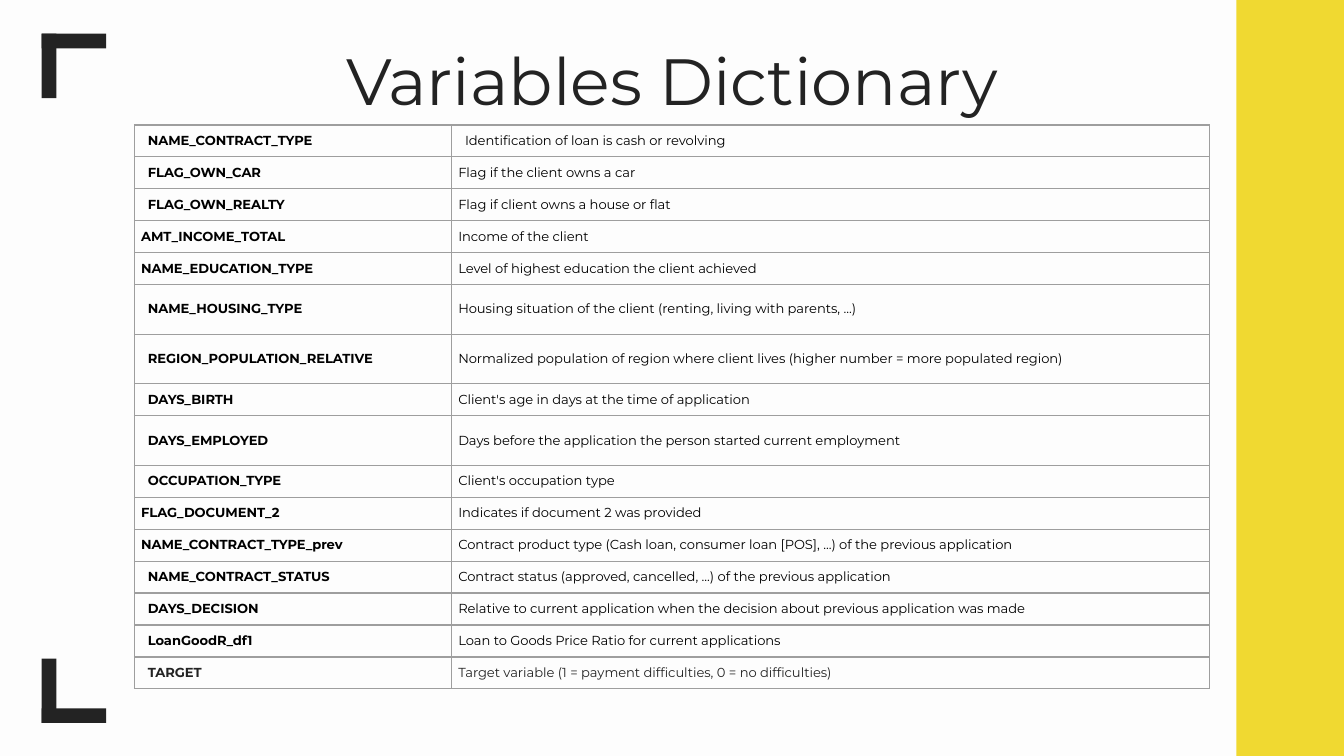
import pptx
import pptx.dml.color
import pptx.enum.shapes
import pptx.enum.text
import pptx.oxml
import pptx.oxml.ns
import pptx.util

Inches = pptx.util.Inches
PAGE_WIDTH = 10
PAGE_HEIGHT = PAGE_WIDTH * 9 / 16
INK = "232323"
BLACK = "000000"
GRID = "9E9E9E"
WIDE = (0.1, 0.05)
NARROW = (0.05, 0.04)
HARD_SPACE = chr(160)

# Name, description, margins of the name cell
VARIABLES = [
    ("NAME_CONTRACT_TYPE", "Identification of loan is cash or revolving", WIDE),
    ("FLAG_OWN_CAR", "Flag if the client owns a car", WIDE),
    ("FLAG_OWN_REALTY", "Flag if client owns a house or flat", WIDE),
    ("AMT_INCOME_TOTAL", "Income of the client", NARROW),
    ("NAME_EDUCATION_TYPE", "Level of highest education the client achieved", NARROW),
    ("NAME_HOUSING_TYPE", "Housing situation of the client (renting, living with parents, ...)", WIDE),
    ("REGION_POPULATION_RELATIVE",
     "Normalized population of region where client lives (higher number = more populated region)", WIDE),
    ("DAYS_BIRTH", "Client's age in days at the time of application", WIDE),
    ("DAYS_EMPLOYED", "Days before the application the person started current employment", WIDE),
    ("OCCUPATION_TYPE", "Client's occupation type", WIDE),
    ("FLAG_DOCUMENT_2", "Indicates if document 2 was provided", NARROW),
    ("NAME_CONTRACT_TYPE_prev",
     "Contract product type (Cash loan, consumer loan [POS], ...) of the previous application", NARROW),
    ("NAME_CONTRACT_STATUS", "Contract status (approved, cancelled, ...) of the previous application", WIDE),
    ("DAYS_DECISION",
     "Relative to current application when the decision about previous application was made", WIDE),
    ("LoanGoodR_df1", "Loan to Goods Price Ratio for current applications", WIDE),
    ("TARGET", "Target variable (1 = payment difficulties, 0 = no difficulties)", WIDE),
]
TALL_ROWS = {"NAME_HOUSING_TYPE", "REGION_POPULATION_RELATIVE", "DAYS_EMPLOYED"}
SOFT_SPACED_ROWS = {"LoanGoodR_df1"}


def color(value):
    return pptx.dml.color.RGBColor.from_string(value)


def write(frame, text, size=7, fill=BLACK, bold=False, align=None):
    para = frame.paragraphs[0]
    para.alignment = align
    span = para.add_run()
    span.text = text
    span.font.name = "Montserrat"
    span.font.size = pptx.util.Pt(size)
    span.font.bold = bold
    span.font.color.rgb = color(fill)


def add_bar(page, left, top, width, height, fill):
    bar = page.shapes.add_shape(
        pptx.enum.shapes.MSO_SHAPE.RECTANGLE,
        Inches(left), Inches(top), Inches(width), Inches(height))
    bar.shadow.inherit = False
    bar.fill.solid()
    bar.fill.fore_color.rgb = color(fill)
    bar.line.fill.background()


def add_corner(page, left, top, size, at_bottom):
    thick = 0.11
    add_bar(page, left, top, thick, size, INK)
    bar_top = top + size - thick if at_bottom else top
    add_bar(page, left, bar_top, size, thick, INK)


def add_title(page, left, top, width, height):
    box = page.shapes.add_textbox(Inches(left), Inches(top), Inches(width), Inches(height))
    frame = box.text_frame
    frame.word_wrap = True
    frame.margin_left = frame.margin_right = Inches(0.1)
    frame.margin_top = frame.margin_bottom = Inches(0.1)
    write(frame, "Variables Dictionary", size=35, fill=INK, align=pptx.enum.text.PP_ALIGN.CENTER)


def add_borders(cell):
    properties = cell._tc.get_or_add_tcPr()
    namespace = pptx.oxml.ns.nsdecls("a")
    for index, side in enumerate(("lnL", "lnR", "lnT", "lnB")):
        properties.insert(index, pptx.oxml.parse_xml(
            f'<a:{side} {namespace} w="{pptx.util.Pt(0.75)}"><a:solidFill>'
            f'<a:srgbClr val="{GRID}"/></a:solidFill></a:{side}>'))


def fill_cell(cell, text, margins, **style):
    cell.margin_left = cell.margin_right = Inches(margins[0])
    cell.margin_top = cell.margin_bottom = Inches(margins[1])
    cell.vertical_anchor = pptx.enum.text.MSO_ANCHOR.MIDDLE
    cell.fill.background()
    add_borders(cell)
    write(cell.text_frame, text, **style)


def add_dictionary(page, left, top, width, height):
    table = page.shapes.add_table(
        len(VARIABLES), 2, Inches(left), Inches(top), Inches(width), Inches(height)).table
    table.first_row = table.horz_banding = False
    name_width = 2.36
    table.columns[0].width = Inches(name_width)
    table.columns[1].width = Inches(width - name_width)

    # The single rows share the height that the tall rows leave
    tall = 0.37
    single = (height - tall * len(TALL_ROWS)) / (len(VARIABLES) - len(TALL_ROWS))
    for index, (name, description, margins) in enumerate(VARIABLES):
        table.rows[index].height = Inches(tall if name in TALL_ROWS else single)
        ink = INK if name == "TARGET" else BLACK
        if name not in SOFT_SPACED_ROWS:
            description = description.replace(" ", HARD_SPACE)
        fill_cell(table.cell(index, 0), name, margins, fill=ink, bold=True)
        fill_cell(table.cell(index, 1), description, WIDE if index == 0 else NARROW, fill=ink)


def main():
    deck = pptx.Presentation()
    deck.slide_width = Inches(PAGE_WIDTH)
    deck.slide_height = Inches(PAGE_HEIGHT)
    page = deck.slides.add_slide(deck.slide_layouts[6])
    page.background.fill.solid()
    page.background.fill.fore_color.rgb = color("FDFDFD")

    # Corner brackets and side band
    add_corner(page, 0.31, 4.9, 0.48, at_bottom=True)
    add_corner(page, 0.31, 0.25, 0.48, at_bottom=False)
    add_bar(page, 9.2, 0, 0.8, PAGE_HEIGHT, "F0D931")

    # Title and table of variables
    add_title(page, 0.79, 0.2, 8.43, 0.63)
    add_dictionary(page, 1, 0.93, 8, 4.2)
    deck.save("out.pptx")


if __name__ == "__main__":
    main()
